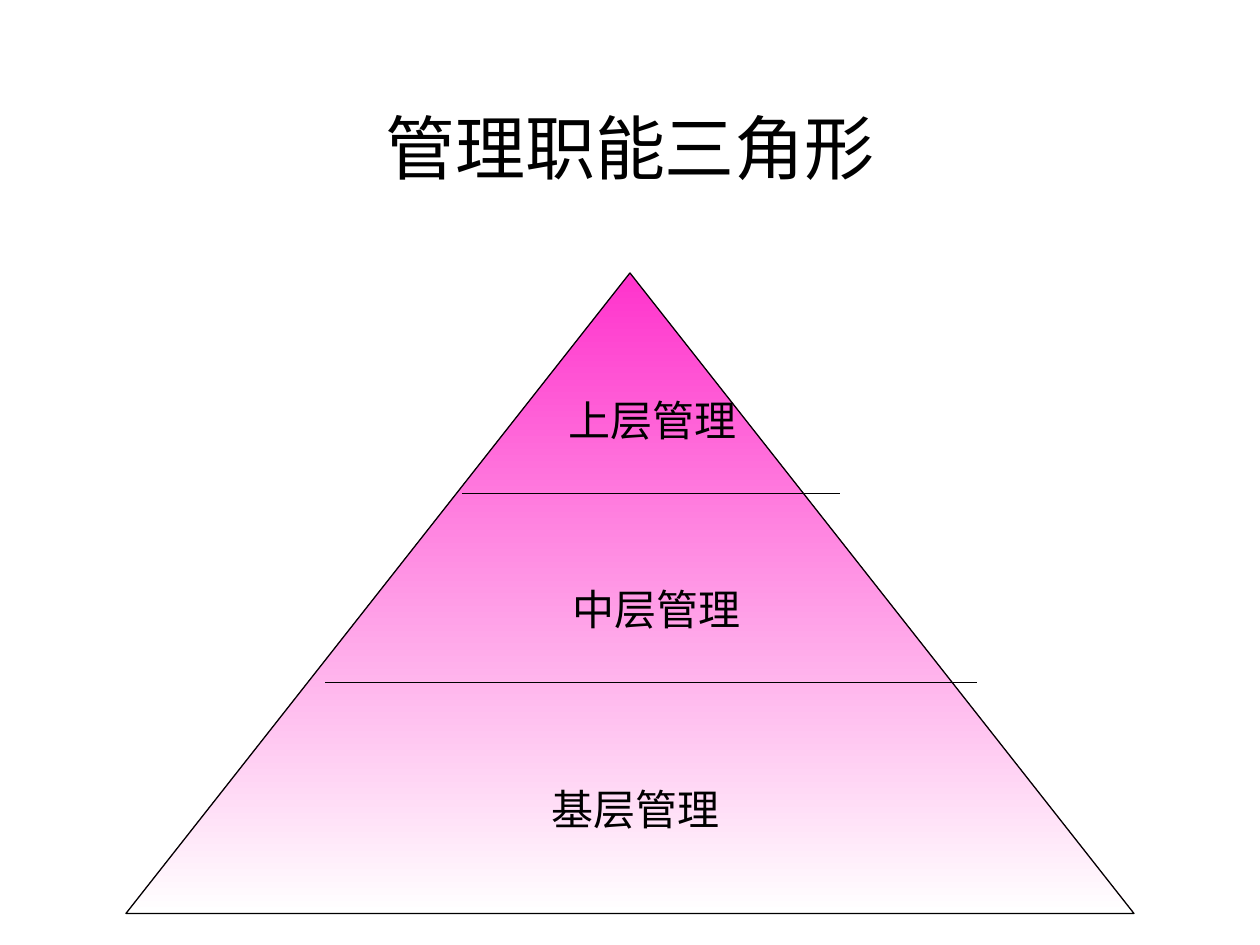
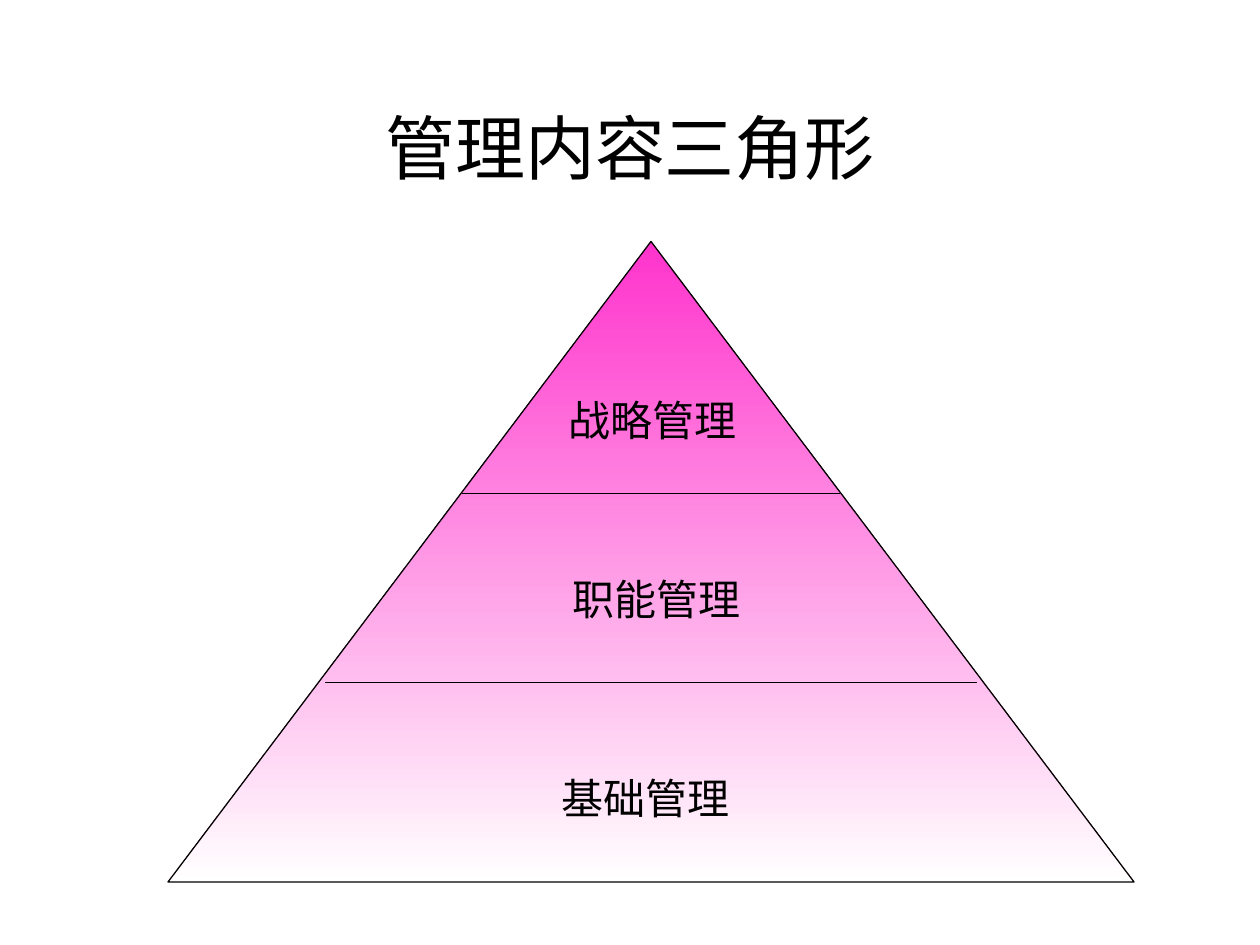
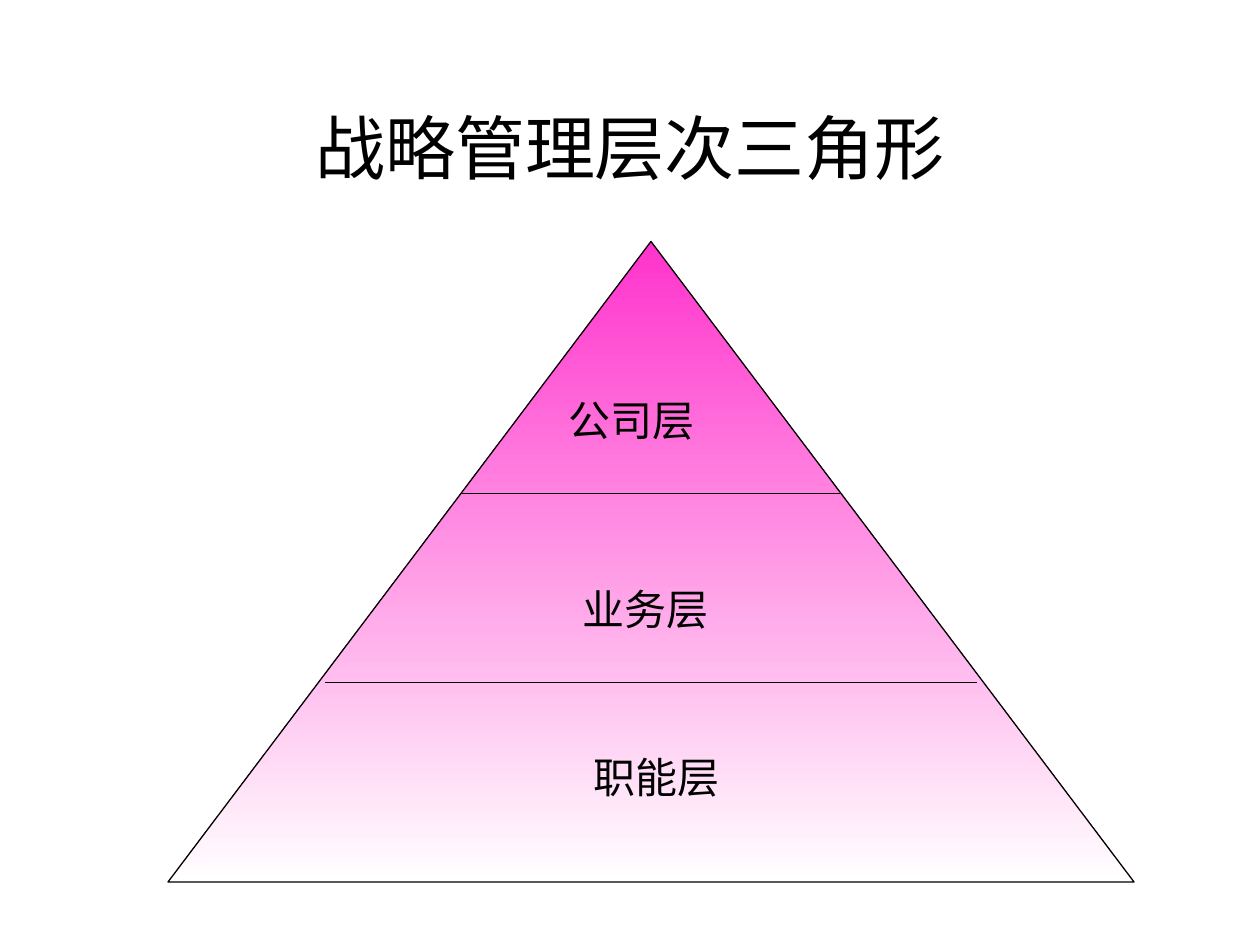
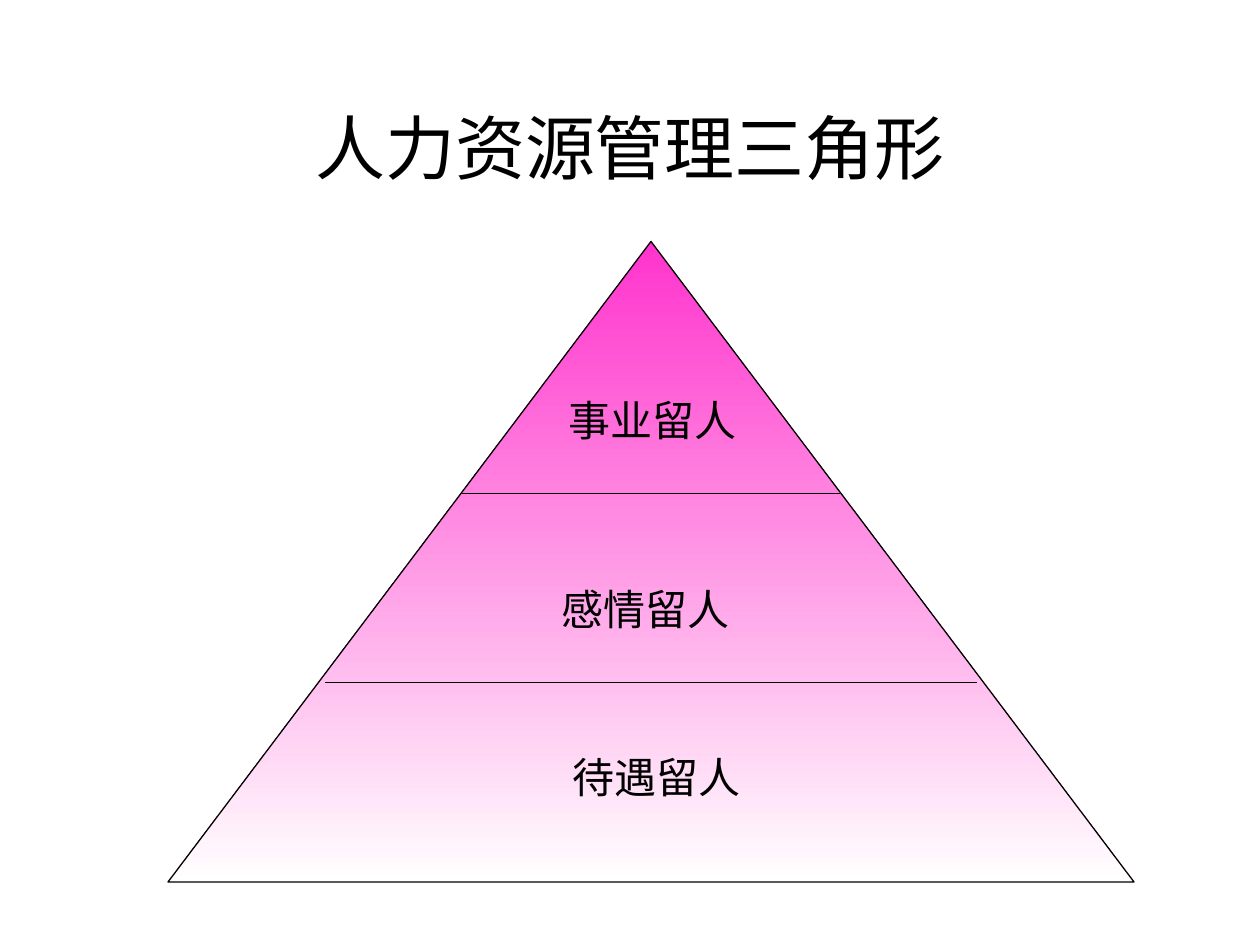
import dataclasses

import lxml.etree
import pptx
import pptx.dml.color
import pptx.enum.dml
import pptx.enum.shapes
import pptx.enum.text
import pptx.oxml.ns
import pptx.slide
import pptx.text.text
import pptx.util

CELL = pptx.util.Inches(1) // 12
COLUMNS, ROWS = 120, 90

PINK = pptx.dml.color.RGBColor(0xFF, 0x33, 0xCC)
WHITE = pptx.dml.color.RGBColor(0xFF, 0xFF, 0xFF)
BLACK = pptx.dml.color.RGBColor(0x00, 0x00, 0x00)

TITLE_FONT = "Noto Sans CJK SC"
LABEL_FONT = "Times New Roman"
TITLE_SIZE = pptx.util.Pt(40)
LABEL_SIZE = pptx.util.Pt(24)
LINE_WIDTH = pptx.util.Pt(0.75)
LEFT = pptx.enum.text.PP_ALIGN.LEFT
CENTER = pptx.enum.text.PP_ALIGN.CENTER


@dataclasses.dataclass(frozen=True)
class Area:
    column: int
    row: int
    columns: int
    rows: int

    def lengths(self) -> tuple[int, int, int, int]:
        return (self.column * CELL, self.row * CELL, self.columns * CELL, self.rows * CELL)


@dataclasses.dataclass(frozen=True)
class Divider:
    start: int
    end: int
    row: int


@dataclasses.dataclass(frozen=True)
class Label:
    text: str
    area: Area
    alignment: pptx.enum.text.PP_ALIGN = CENTER


@dataclasses.dataclass(frozen=True)
class Pyramid:
    title: str
    triangle: Area
    labels: tuple[Label, ...]


TITLE_AREA = Area(6, 5, 108, 18)
NARROW_TRIANGLE = Area(16, 23, 92, 61)
DIVIDERS = (Divider(31, 93, 65), Divider(44, 80, 47))


def top(text: str) -> Label:
    return Label(text, Area(53, 37, 19, 6), LEFT)


def middle(text: str, column: int, row: int) -> Label:
    return Label(text, Area(column, row, 53, 6))


def base(text: str, column: int, row: int) -> Label:
    return Label(text, Area(column, row, 75, 6))


PYRAMIDS = (
    Pyramid("管理职能三角形", Area(12, 26, 96, 61),
            (top("上层管理"), middle("中层管理", 36, 55), base("基层管理", 23, 74))),
    Pyramid("管理内容三角形", NARROW_TRIANGLE,
            (top("战略管理"), middle("职能管理", 36, 54), base("基础管理", 24, 73))),
    Pyramid("战略管理层次三角形", NARROW_TRIANGLE,
            (top("公司层"), middle("业务层", 35, 55), base("职能层", 25, 71))),
    Pyramid("人力资源管理三角形", NARROW_TRIANGLE,
            (top("事业留人"), middle("感情留人", 35, 55), base("待遇留人", 25, 71))),
)


def write(frame: pptx.text.text.TextFrame, text: str, font: str, size: int,
          alignment: pptx.enum.text.PP_ALIGN) -> None:
    frame.text = text
    frame.word_wrap = True
    para = frame.paragraphs[0]
    para.alignment = alignment
    span = para.runs[0]
    span.font.name = font
    span.font.size = size
    span.font.color.rgb = BLACK


def draw_title(page: pptx.slide.Slide, text: str) -> None:
    title = page.shapes.title
    title.left, title.top, title.width, title.height = TITLE_AREA.lengths()
    write(title.text_frame, text, TITLE_FONT, TITLE_SIZE, CENTER)
    title.text_frame.vertical_anchor = pptx.enum.text.MSO_ANCHOR.MIDDLE


def draw_triangle(page: pptx.slide.Slide, area: Area) -> None:
    triangle = page.shapes.add_shape(
        pptx.enum.shapes.MSO_SHAPE.ISOSCELES_TRIANGLE, *area.lengths())
    triangle.shadow.inherit = False
    triangle.fill.gradient()
    triangle.fill.gradient_angle = 270
    for stop, position, color in zip(triangle.fill.gradient_stops, (0, 1), (PINK, WHITE)):
        stop.position = position
        stop.color.rgb = color
    triangle.line.color.rgb = BLACK
    triangle.line.width = LINE_WIDTH


def draw_divider(page: pptx.slide.Slide, divider: Divider) -> None:
    height = divider.row * CELL
    line = page.shapes.add_connector(
        pptx.enum.shapes.MSO_CONNECTOR.STRAIGHT,
        divider.start * CELL, height, divider.end * CELL, height)
    line.line.color.rgb = BLACK
    line.line.width = LINE_WIDTH
    lxml.etree.SubElement(line._element.spPr, pptx.oxml.ns.qn("a:effectLst"))


def draw_label(page: pptx.slide.Slide, label: Label) -> None:
    box = page.shapes.add_textbox(*label.area.lengths())
    write(box.text_frame, label.text, LABEL_FONT, LABEL_SIZE, label.alignment)
    box.text_frame.auto_size = pptx.enum.text.MSO_AUTO_SIZE.SHAPE_TO_FIT_TEXT


def draw_pyramid(page: pptx.slide.Slide, pyramid: Pyramid) -> None:
    draw_title(page, pyramid.title)
    draw_triangle(page, pyramid.triangle)
    for divider in DIVIDERS:
        draw_divider(page, divider)
    for label in pyramid.labels:
        draw_label(page, label)


def main() -> None:
    deck = pptx.Presentation()
    deck.slide_width = COLUMNS * CELL
    deck.slide_height = ROWS * CELL
    title_only = deck.slide_layouts[5]
    for pyramid in PYRAMIDS:
        draw_pyramid(deck.slides.add_slide(title_only), pyramid)
    deck.save("out.pptx")


if __name__ == "__main__":
    main()
